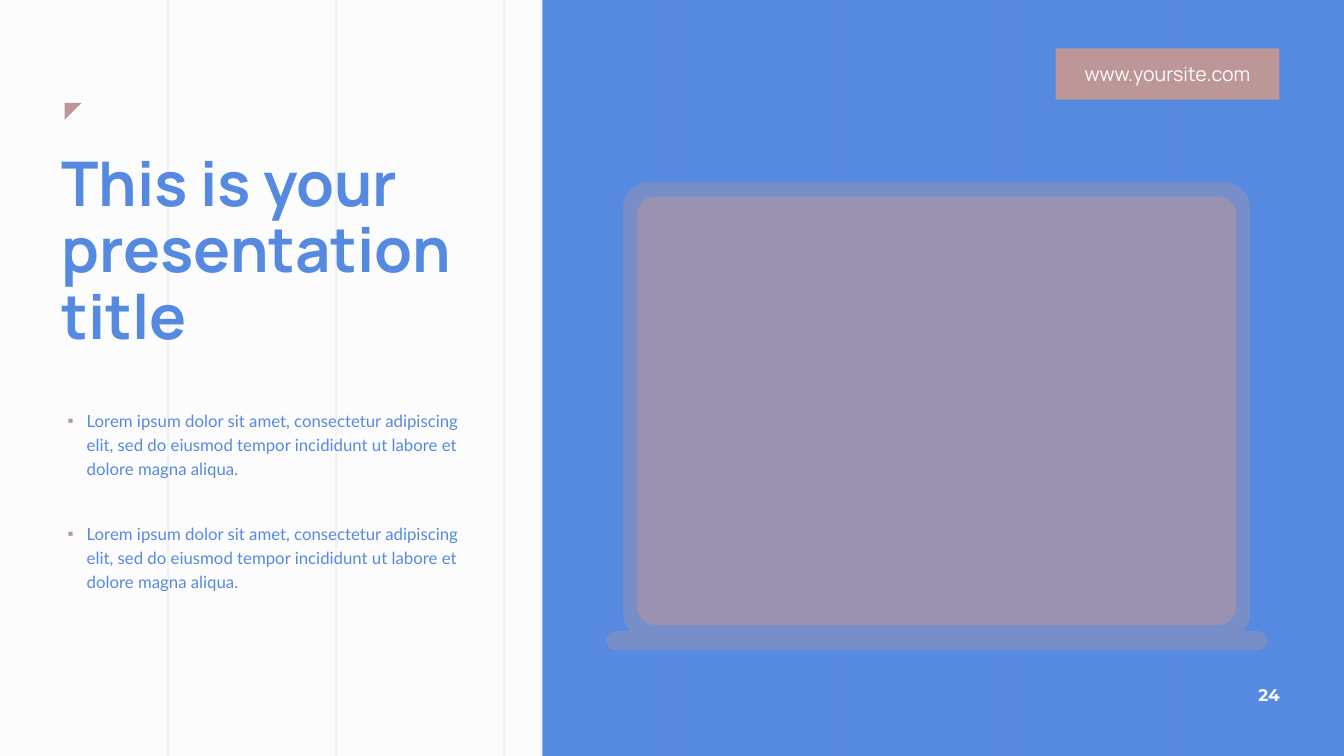
from lxml import etree
from pptx import Presentation
from pptx import util as u
from pptx.dml.color import RGBColor
from pptx.enum import shapes, text
from pptx.oxml.ns import qn

BLUE, ROSE, STEEL, MAUVE, PAPER = "568AE0", "BD9698", "788EC8", "9A92B0", "FCFCFC"
LOREM = ("Lorem ipsum dolor sit amet, consectetur adipiscing elit, sed do eiusmod "
         "tempor incididunt ut labore et dolore magna aliqua.")


def color(value):
    return RGBColor.from_string(value)


class SlideBuilder:
    formats = {
        "title": {"name": "Manrope", "size": u.Pt(44), "bold": True, "color": BLUE},
        "body": {"name": "Lato", "size": u.Pt(12), "bold": False, "color": BLUE},
        "site": {"name": "Manrope", "size": u.Pt(14), "bold": False, "color": PAPER},
        "number": {"name": "Montserrat", "size": u.Pt(12), "bold": True, "color": PAPER},
    }

    def __init__(self, presentation):
        self.slide = presentation.slides.add_slide(presentation.slide_layouts[1])
        background = self.slide.background.fill
        background.solid()
        background.fore_color.rgb = color(PAPER)

    def set_text(self, shape, lines, style, align, anchor=text.MSO_ANCHOR.MIDDLE, margin=None,
                 line_spacing=None, gap=0, bullet=None):
        frame = shape.text_frame
        frame.word_wrap = True
        frame.auto_size = text.MSO_AUTO_SIZE.NONE
        frame.vertical_anchor = anchor
        if margin is not None:
            for side in ("left", "top", "right", "bottom"):
                setattr(frame, f"margin_{side}", u.Inches(margin))
        for index, line in enumerate(lines):
            paragraph = frame.paragraphs[0] if index == 0 else frame.add_paragraph()
            paragraph.text = line
            if bullet:
                self.bullet(paragraph, bullet)
            paragraph.alignment = align
            paragraph.line_spacing = line_spacing
            paragraph.space_before = u.Pt(gap if index else 0)
            for name, value in self.formats[style].items():
                if name == "color":
                    paragraph.font.color.rgb = color(value)
                else:
                    setattr(paragraph.font, name, value)

    def bullet(self, paragraph, symbol):
        properties = paragraph._p.get_or_add_pPr()
        properties.set("marL", str(u.Inches(0.19)))
        properties.set("indent", str(-u.Inches(0.19)))
        bullet_color = etree.SubElement(properties, qn("a:buClr"))
        etree.SubElement(bullet_color, qn("a:srgbClr"), val=ROSE)
        etree.SubElement(properties, qn("a:buChar"), char=symbol)

    def shape(self, kind, left, top, width, height, fill, rotation=0, radius=None):
        shape = self.slide.shapes.add_shape(kind, *map(u.Inches, (left, top, width, height)))
        shape.shadow.inherit = False
        shape.fill.solid()
        shape.fill.fore_color.rgb = color(fill)
        shape.line.fill.background()
        shape.rotation = rotation
        if radius is not None:
            shape.adjustments[0] = radius
        return shape

    def guide(self, x):
        ends = map(u.Inches, (x, 0, x, 7.5))
        line = self.slide.shapes.add_connector(shapes.MSO_CONNECTOR.STRAIGHT, *ends)
        line.line.width = u.Pt(1.5)
        line.line.color.rgb = color(MAUVE)
        shade = line.element.spPr.find(".//" + qn("a:srgbClr"))
        etree.SubElement(shade, qn("a:alpha"), val="10000")
        etree.SubElement(line.element.spPr, qn("a:effectLst"))

    def label(self, left, top, width, height, line, style, align):
        box = self.slide.shapes.add_textbox(*map(u.Inches, (left, top, width, height)))
        self.set_text(box, [line], style, align)

    def placeholder(self, index, left, top, width, height, lines, style, **options):
        shape = self.slide.placeholders[index]
        shape.left, shape.top, shape.width, shape.height = map(
            u.Inches, (left, top, width, height))
        self.slide.shapes.element.append(shape.element)
        self.set_text(shape, lines, style, text.PP_ALIGN.LEFT, text.MSO_ANCHOR.TOP, **options)


def main():
    presentation = Presentation()
    presentation.slide_width = u.Inches(13.33)
    presentation.slide_height = u.Inches(7.5)
    builder = SlideBuilder(presentation)
    kinds = shapes.MSO_SHAPE

    builder.shape(kinds.RECTANGLE, 5.38, 0, 7.95, 7.5, BLUE)
    for column in range(1, 8):
        builder.guide(column * 5 / 3)
    builder.label(12.34, 6.69, 0.45, 0.4, "24", "number", text.PP_ALIGN.RIGHT)
    builder.shape(kinds.RIGHT_TRIANGLE, 0.64, 1.02, 0.17, 0.17, ROSE, rotation=90)

    laptop_center = 9.29
    for top, width, height, fill, radius in (
        (1.81, 6.22, 4.53, STEEL, 0.056),
        (1.95, 5.94, 4.25, MAUVE, 0.042),
        (6.26, 6.56, 0.19, STEEL, 0.5),
    ):
        builder.shape(kinds.ROUNDED_RECTANGLE, laptop_center - width / 2, top, width, height,
                      fill, radius=radius)

    site = builder.shape(kinds.RECTANGLE, 10.47, 0.48, 2.22, 0.51, ROSE)
    builder.set_text(site, ["www.yoursite.com"], "site", text.PP_ALIGN.CENTER)
    builder.placeholder(1, 0.67, 4.03, 4.02, 1.85, [LOREM, LOREM], "body",
                        margin=0, line_spacing=1.2, gap=29.3, bullet="▪")
    builder.placeholder(0, 0.51, 1.47, 4.45, 2.32, ["This is your presentation", "title"],
                        "title", line_spacing=0.9)
    presentation.save("out.pptx")


if __name__ == "__main__":
    main()
